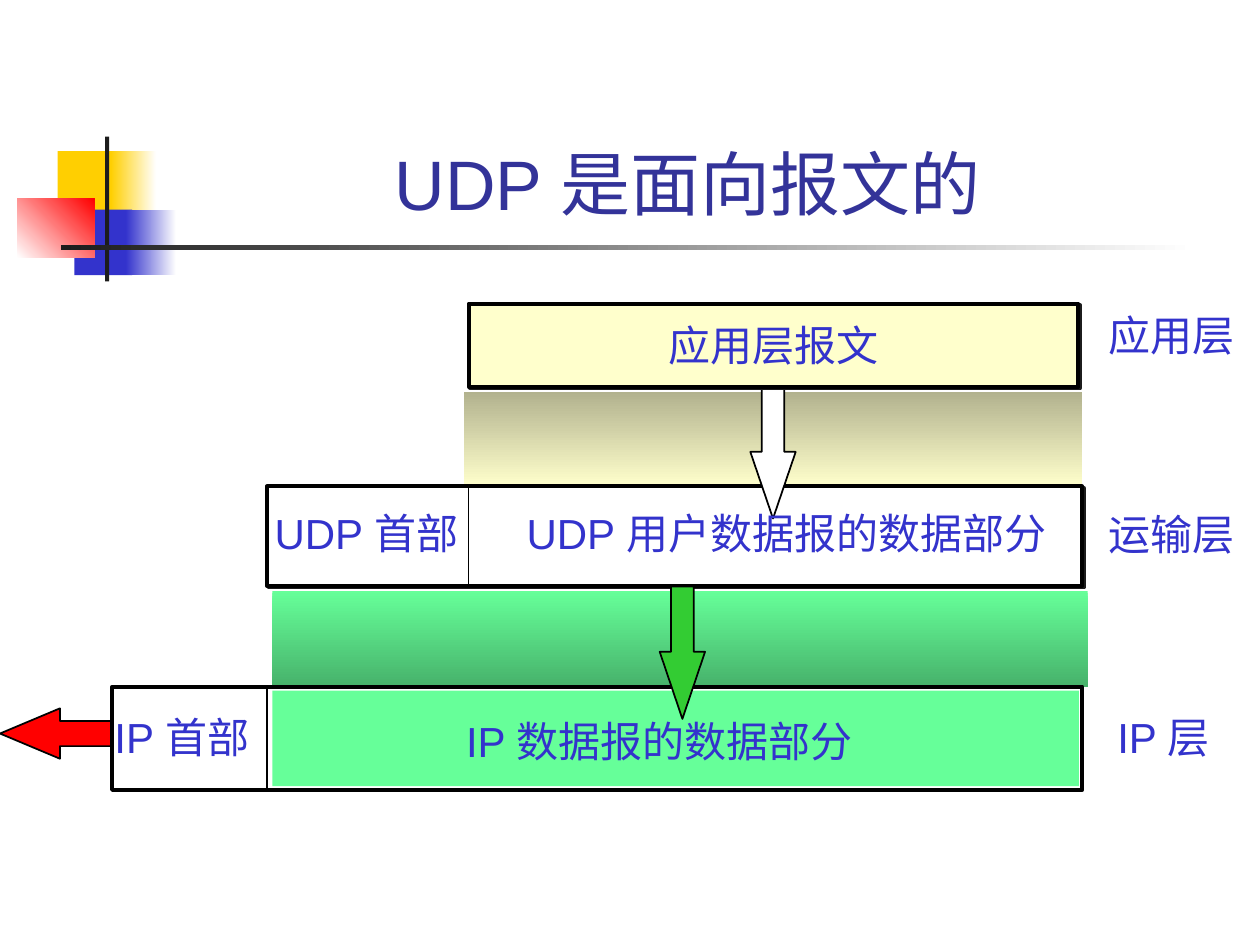
from pptx import Presentation
from pptx.dml.color import RGBColor
from pptx.enum.shapes import MSO_CONNECTOR, MSO_SHAPE
from pptx.enum.text import MSO_ANCHOR, MSO_AUTO_SIZE, PP_ALIGN
from pptx.oxml.ns import qn
from pptx.util import Pt
from lxml import etree

RECT = MSO_SHAPE.RECTANGLE
DOWN = MSO_SHAPE.DOWN_ARROW
LEFT = MSO_SHAPE.LEFT_ARROW
LINE = MSO_CONNECTOR.STRAIGHT
TOP = MSO_ANCHOR.TOP
MIDDLE = MSO_ANCHOR.MIDDLE
BOTTOM = MSO_ANCHOR.BOTTOM
FIT = MSO_AUTO_SIZE.SHAPE_TO_FIT_TEXT
FIXED = MSO_AUTO_SIZE.NONE
START = PP_ALIGN.LEFT
CENTER = PP_ALIGN.CENTER

WHITE = RGBColor(0xFF, 0xFF, 0xFF)
BLACK = RGBColor(0x00, 0x00, 0x00)
INK = RGBColor(0x1C, 0x1C, 0x1C)
GOLD = RGBColor(0xFF, 0xCF, 0x01)
BLUE = RGBColor(0x33, 0x33, 0xCC)
NAVY = RGBColor(0x33, 0x33, 0x99)
RED = RGBColor(0xFF, 0x00, 0x00)
GREEN = RGBColor(0x33, 0xCC, 0x33)
MINT = RGBColor(0x66, 0xFF, 0x99)
MOSS = RGBColor(0x47, 0xB2, 0x6B)
CREAM = RGBColor(0xFF, 0xFF, 0xCC)
KHAKI = RGBColor(0xB2, 0xB2, 0x8E)

deck = Presentation()
deck.slide_width = Pt(720)
deck.slide_height = Pt(540)
slide = deck.slides.add_slide(deck.slide_layouts[6])
shapes = slide.shapes


def draw(kind, area, *fills, angle=0, line=0, shade=False, head=None):
    shape = shapes.add_shape(kind, *[Pt(v) for v in area])
    shape.shadow.inherit = False
    if len(fills) == 2:
        shape.fill.gradient()
        shape.fill.gradient_angle = angle
        for stop, place, color in zip(shape.fill.gradient_stops, (0, 1), fills):
            stop.position = place
            stop.color.rgb = color
    else:
        shape.fill.solid()
        shape.fill.fore_color.rgb = fills[0]
    if line:
        shape.line.color.rgb = BLACK
        shape.line.width = Pt(line)
    else:
        shape.line.fill.background()
    if head:
        shape.adjustments[0] = 0.5
        shape.adjustments[1] = head
    if shade:
        effects = shape._element.spPr.find(qn("a:effectLst"))
        cast = etree.SubElement(effects, qn("a:outerShdw"), blurRad="0",
                                dist=str(Pt(1.4)), dir="2700000", algn="ctr", rotWithShape="0")
        etree.SubElement(cast, qn("a:srgbClr"), val=str(INK))
    return shape


def write(frame, text, size=24, color=BLUE, align=START, anchor=TOP, wrap=False, fit=FIT):
    frame.word_wrap = wrap
    frame.auto_size = fit
    frame.vertical_anchor = anchor
    para = frame.paragraphs[0]
    para.alignment = align
    run = para.add_run()
    run.text = text
    run.font.size = Pt(size)
    run.font.name = "Arial"
    run.font.color.rgb = color


draw(RECT, (33, 86.4, 34.6, 37.4), GOLD)
draw(RECT, (63.4, 86.4, 25.9, 37.4), GOLD, WHITE)
draw(RECT, (42.5, 119.8, 33, 37.4), BLUE)
draw(RECT, (72, 119.8, 28.6, 37.4), BLUE, WHITE)
draw(RECT, (9.8, 113.6, 44.2, 33.5), WHITE, RED, angle=45)
draw(RECT, (60, 78, 2.4, 82.8), INK)
draw(RECT, (34.8, 140.2, 648, 2.5), INK, WHITE)

title = shapes.add_textbox(Pt(90.7), Pt(16.6), Pt(613.4), Pt(115.2))
write(title.text_frame, "UDP 是面向报文的 ", size=40, color=NAVY,
      align=CENTER, anchor=BOTTOM, wrap=True, fit=FIXED)

draw(LEFT, (0, 404.8, 67.7, 28.8), RED, line=1, head=1.19)
draw(RECT, (155.7, 337.7, 465.8, 54.7), MINT, MOSS, angle=270)
draw(RECT, (265, 223.9, 353.5, 54), KHAKI, CREAM, angle=270)
draw(RECT, (152.6, 277.9, 465.8, 56.9), WHITE, line=2.25, shade=True)
draw(RECT, (64.1, 392.4, 554.4, 59), WHITE, line=2.25)
draw(RECT, (155.7, 394.6, 460.8, 54.7), MINT)

for x, top, end in ((267.8, 277.9, 334.8), (152.6, 392.4, 451.4)):
    rule = shapes.add_connector(LINE, Pt(x), Pt(top), Pt(x), Pt(end))
    rule.line.color.rgb = BLACK
    rule.line.width = Pt(1)
    etree.SubElement(rule._element.spPr, qn("a:effectLst"))

draw(DOWN, (377, 335.2, 25.9, 75.6), GREEN, line=1, head=1.48)
draw(DOWN, (428.8, 220.7, 25.9, 75.6), WHITE, line=1, head=1.47)
packet = draw(RECT, (267.8, 173.5, 348.5, 47.5), CREAM, line=2.25, shade=True)
write(packet.text_frame, "应用层报文", align=CENTER, anchor=MIDDLE, fit=FIXED)

LABELS = (
    ("IP 数据报的数据部分", 259.2, 405.4, 241.2),
    ("IP 首部", 58.3, 403.2, 97.2),
    ("IP 层", 631.4, 403.2, 73.4),
    ("UDP 首部", 149.8, 286.6, 125.3),
    ("UDP 用户数据报的数据部分", 293.8, 286.6, 317.5),
    ("运输层", 626.4, 287.3, 86.4),
    ("应用层", 626.4, 173.5, 86.4),
)
for text, x, y, width in LABELS:
    label = shapes.add_textbox(Pt(x), Pt(y), Pt(width), Pt(36))
    write(label.text_frame, text)

deck.save("out.pptx")
